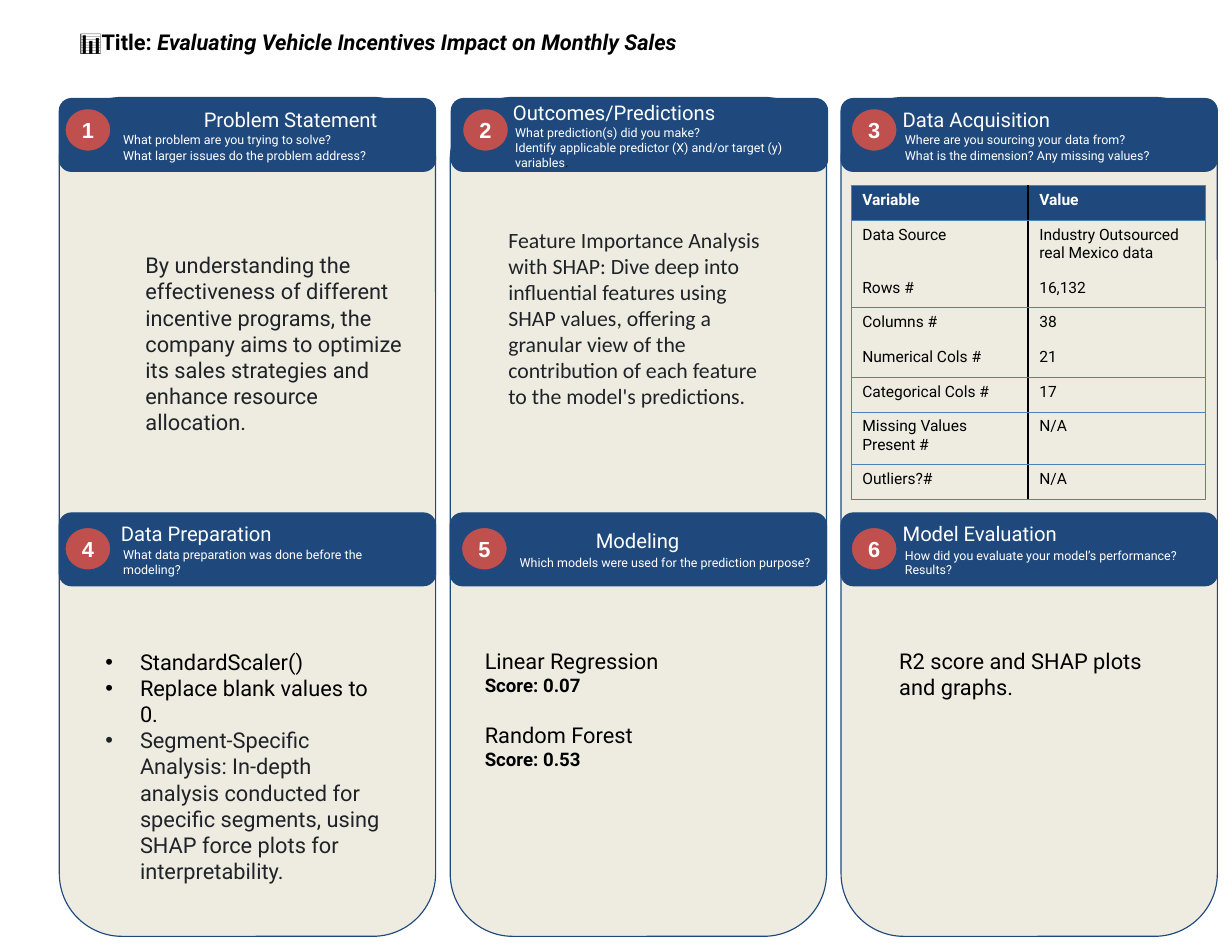
"""Build a six-panel project canvas on vehicle incentives and monthly sales."""
from dataclasses import dataclass
from lxml.etree import SubElement
from pptx import Presentation
from pptx.dml.color import RGBColor
from pptx.enum.shapes import MSO_SHAPE as Preset
from pptx.enum.text import MSO_ANCHOR as Anchor, MSO_AUTO_SIZE as AutoSize, PP_ALIGN as Align
from pptx.oxml.ns import qn
from pptx.util import Inches, Pt


@dataclass(frozen=True)
class Theme:
    navy: str = "1F497D"
    cream: str = "EEECE1"
    red: str = "C0504D"
    blue: str = "4F81BD"
    white: str = "FFFFFF"
    black: str = "000000"
    ink: str = "1F2328"
    font: str = "Roboto"
    body: int = 14
    heading: int = 13
    score: int = 12
    cell: int = 10
    question: int = 8


theme = Theme()

TITLE = [("📊Title: ", {}), ("Evaluating Vehicle Incentives Impact on Monthly Sales", {"italic": True})]
SECTIONS = [
    {"heading": "Problem Statement", "indent": 1.16, "before": 0.4,
     "questions": ["What problem are you trying to solve?", "What larger issues do the problem address?"]},
    {"heading": "Outcomes/Predictions", "shift": 0.01, "before": 0.4,
     "questions": ["What prediction(s) did you make?",
                   [("Identify applicable predictor (X) and/or target (y) variables", {}),
                    (".", {"color": theme.black})]]},
    {"heading": "Data Acquisition", "before": 0.4,
     "questions": ["Where are you sourcing your data from?", "What is the dimension? Any missing values?"]},
    {"heading": "Data Preparation", "before": 1,
     "questions": ["What data preparation was done before the modeling?"]},
    {"heading": "Modeling", "indent": 1.17, "before": 1.4, "first": 0.05,
     "questions": ["Which models were used for the prediction purpose?"]},
    {"heading": "Model Evaluation", "before": 1.4,
     "questions": ["How did you evaluate your model’s performance? Results?"]},
]
PROBLEM = ("By understanding the effectiveness of different incentive programs, the company aims to "
           "optimize its sales strategies and enhance resource allocation.")
OUTCOME = ("Feature Importance Analysis with SHAP: Dive deep into influential features using SHAP values, "
           "offering a granular view of the contribution of each feature to the model's predictions.")
PREPARATION = [
    ("StandardScaler()", theme.black),
    ("Replace blank values to 0.", theme.black),
    ("Segment-Specific Analysis: In-depth analysis conducted for specific segments, "
     "using SHAP force plots for interpretability.", theme.ink),
]
MODELS = [("Linear Regression", "Score: 0.07"), ("Random Forest", "Score: 0.53")]
EVALUATION = "R2 score and SHAP plots and graphs."
VARIABLES = [
    ("Variable", "Value"),
    ("Data Source", "Industry Outsourced real Mexico data"),
    ("Rows #", "16,132"),
    ("Columns #", "38"),
    ("Numerical Cols #", "21"),
    ("Categorical Cols #", "17"),
    ("Missing Values Present #", "N/A"),
    ("Outliers?#", "N/A"),
]
TALL_ROWS = {1, 6}
RULED_TOPS = {0, 1, 3, 5, 6, 7, 8}
COLUMN_LEFT = [0.53, 4.02, 7.51]
BADGE_LEFT = [0.58, 4.12, 7.6]
HEADER_TOP = [0.88, 4.58]
BADGE_TOP = [0.97, 4.71]


def rgb(value):
    return RGBColor.from_string(value)


def write(frame, text, size=theme.body, color=theme.black, bold=False, font=theme.font,
          align=Align.LEFT, before=0, left=0, first=0):
    """Append one paragraph, given as a string or as (text, format) runs."""
    paragraph = frame.paragraphs[0]
    if paragraph.runs:
        paragraph = frame.add_paragraph()
    paragraph.alignment = align
    paragraph.space_before = Pt(before)
    properties = paragraph._p.get_or_add_pPr()
    properties.set("marL", str(Inches(left)))
    properties.set("indent", str(Inches(first)))
    for words, extra in [(text, {})] if isinstance(text, str) else text:
        run = paragraph.add_run()
        run.text = words
        run.font.name, run.font.size, run.font.bold = font, Pt(size), bold
        run.font.italic = extra.get("italic", False)
        run.font.color.rgb = rgb(extra.get("color", color))


def setup_frame(shape, anchor=Anchor.TOP, inset=0.1):
    frame = shape.text_frame
    frame.word_wrap, frame.auto_size, frame.vertical_anchor = True, AutoSize.NONE, anchor
    frame.margin_left = frame.margin_right = frame.margin_top = frame.margin_bottom = Inches(inset)
    return frame


def place(shape, *box):
    shape.left, shape.top, shape.width, shape.height = map(Inches, box)
    return setup_frame(shape)


def add_panel(preset, fill, *box):
    shape = slide.shapes.add_shape(preset, *map(Inches, box))
    shape.shadow.inherit = False
    shape.fill.solid()
    shape.fill.fore_color.rgb = rgb(fill)
    shape.line.color.rgb = rgb(theme.navy)
    shape.line.width = Pt(0.75)
    return shape


def add_text(left, top, width=2.51):
    return setup_frame(slide.shapes.add_textbox(*map(Inches, (left, top, width, 1.98))))


def set_border(cell, side, color, width):
    line = SubElement(cell._tc.get_or_add_tcPr(), qn(f"a:ln{side}"), w=str(Pt(width)))
    if color:
        SubElement(SubElement(line, qn("a:solidFill")), qn("a:srgbClr"), val=color)
    else:
        SubElement(line, qn("a:noFill"))


def add_variables_table():
    heights = [0.47 if row in TALL_ROWS else 0.31 for row in range(len(VARIABLES))]
    frame = slide.shapes.add_table(len(VARIABLES), 2, *map(Inches, (7.6, 1.66, 3.16, sum(heights))))
    table = frame.table
    table.first_row = table.horz_banding = False
    for row, values in enumerate(VARIABLES):
        table.rows[row].height = Inches(heights[row])
        for column, value in enumerate(values):
            cell = table.cell(row, column)
            outer, middle = (theme.blue, 0.75), (theme.black, 1)
            sides = (outer, middle) if column == 0 else (middle, outer)
            rules = [(theme.blue if edge in RULED_TOPS else None, 0.75) for edge in (row, row + 1)]
            for side, (color, width) in zip("LRTB", (*sides, *rules)):
                set_border(cell, side, color, width)
            header = row == 0
            if header:
                cell.fill.solid()
                cell.fill.fore_color.rgb = rgb(theme.navy)
            else:
                cell.fill.background()
            write(cell.text_frame, value, size=theme.cell, bold=header,
                  color=theme.white if header else theme.black)


presentation = Presentation()
presentation.slide_width, presentation.slide_height = Inches(11), Inches(8.5)
slide = presentation.slides.add_slide(presentation.slide_layouts[1])
title, preparation = slide.placeholders

for left in COLUMN_LEFT:
    add_panel(Preset.ROUNDED_RECTANGLE, theme.cream, left, 0.87, 3.36, 7.49)

for index, section in enumerate(SECTIONS):
    row, column = divmod(index, 3)
    shift = section.get("shift", 0)
    header = add_panel(Preset.ROUNDED_RECTANGLE, theme.navy,
                       COLUMN_LEFT[column] + shift, HEADER_TOP[row], 3.36, 0.65)
    frame = setup_frame(header, Anchor.MIDDLE)
    write(frame, section["heading"], size=theme.heading, color=theme.white, left=section.get("indent", 0.42))
    for question in section["questions"]:
        write(frame, question, size=theme.question, color=theme.white, before=section["before"],
              left=0.44, first=section.get("first", 0))
    badge = add_panel(Preset.OVAL, theme.red, BADGE_LEFT[column] + shift, BADGE_TOP[row], 0.41, 0.38)
    write(setup_frame(badge, Anchor.MIDDLE, inset=0), str(index + 1), color=theme.white, bold=True,
          font="Arial", align=Align.CENTER)

write(place(title, 0.61, 0.16, 6.79, 0.46), TITLE, bold=True)
write(add_text(1.2, 2.15), PROBLEM, color=theme.ink)
write(add_text(4.44, 1.92), OUTCOME, color=theme.ink, font="Calibri")
add_variables_table()

slide.shapes._spTree.append(preparation._element)
preparation_frame = place(preparation, 0.84, 5.69, 2.75, 1.98)
for text, color in PREPARATION:
    write(preparation_frame, text, color=color, left=0.31, first=-0.31)

models_frame = add_text(4.23, 5.68)
for index, (model, score) in enumerate(MODELS):
    write(models_frame, model, before=16.4 * index)
    write(models_frame, score, size=theme.score, bold=True)
write(add_text(7.93, 5.68), EVALUATION)

presentation.save("out.pptx")
